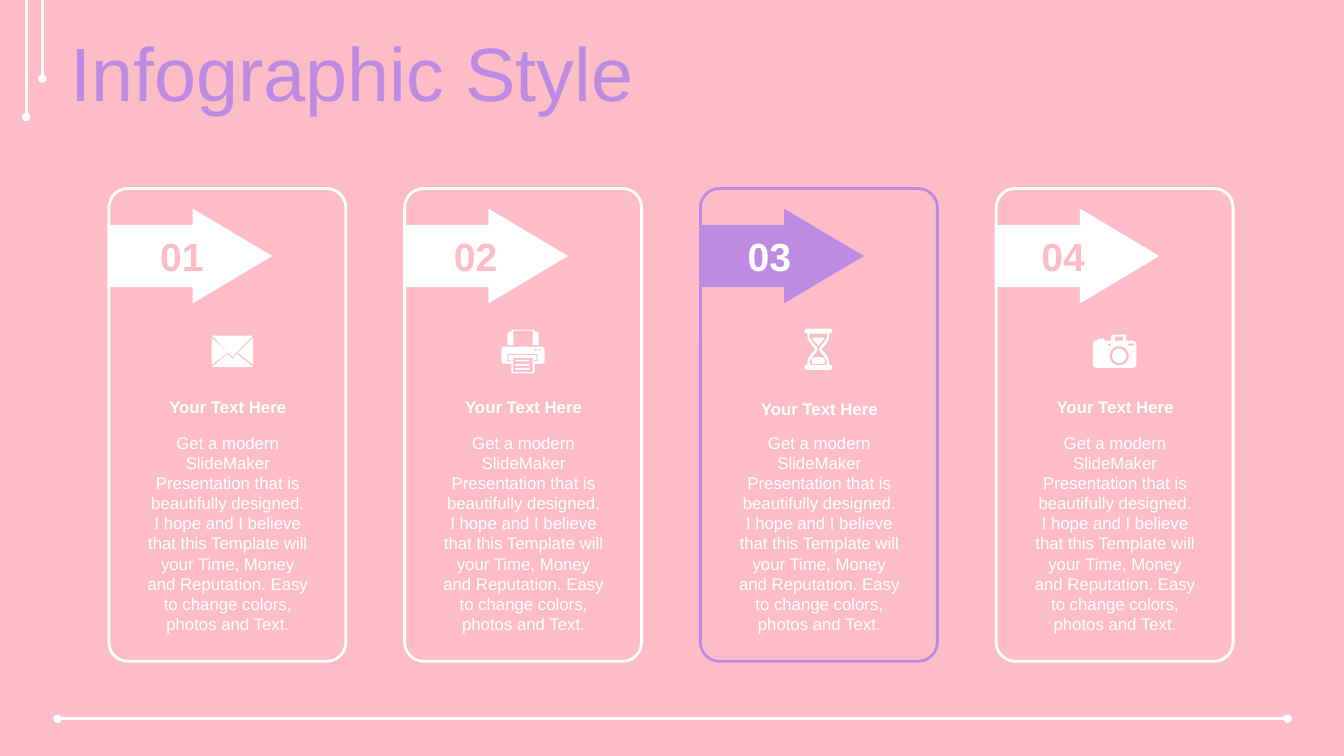
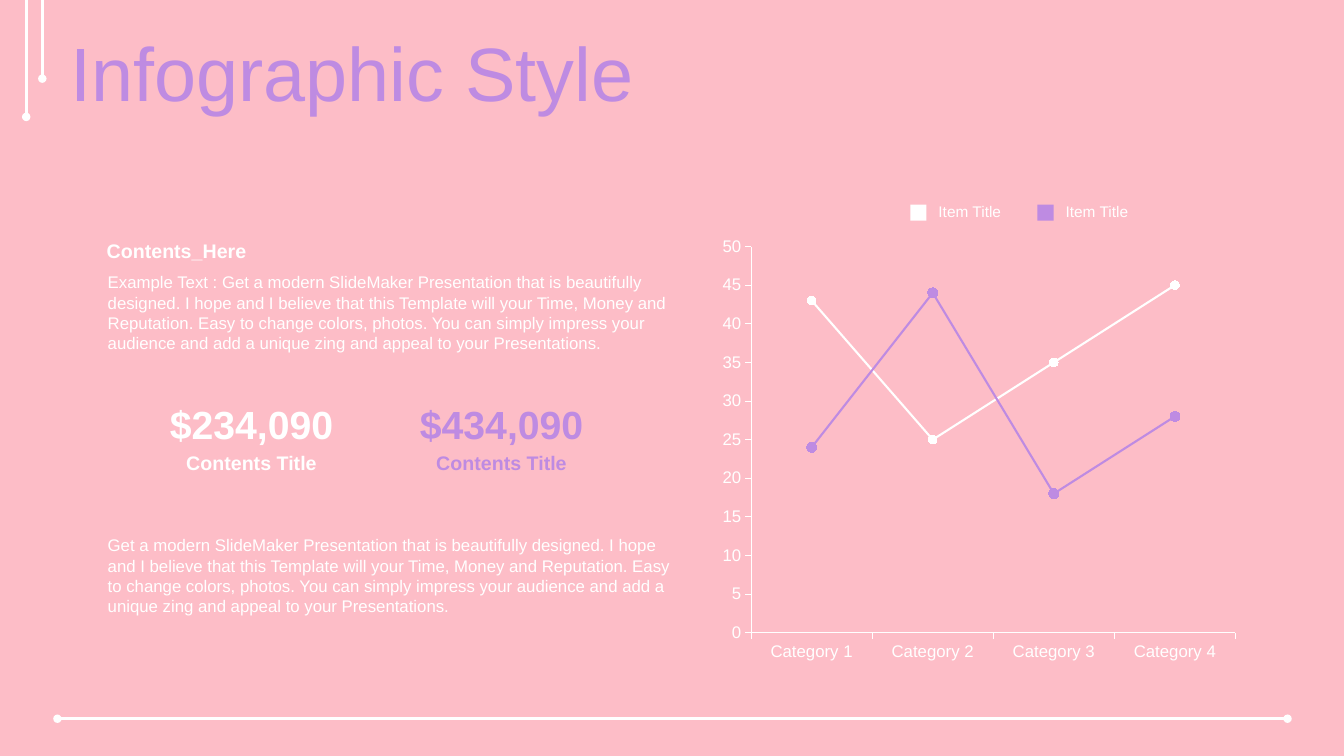
from math import cos, pi, sin
from typing import NamedTuple

from lxml.etree import SubElement as add_node
from pptx import Presentation
from pptx.chart.data import CategoryChartData as ChartData
from pptx.dml.color import RGBColor as Rgb
from pptx.enum.chart import XL_CHART_TYPE as ChartType
from pptx.enum.chart import XL_MARKER_STYLE as Marker
from pptx.enum.chart import XL_TICK_MARK as Tick
from pptx.enum.shapes import MSO_CONNECTOR as Connector
from pptx.enum.shapes import MSO_SHAPE as Shape
from pptx.enum.text import MSO_ANCHOR as Anchor
from pptx.enum.text import MSO_AUTO_SIZE as AutoSize
from pptx.enum.text import PP_ALIGN as Align
from pptx.oxml.ns import qn
from pptx.util import Inches, Pt

COLORS = {"pink": "FDBDC7", "white": "FFFFFF", "purple": "BE8BE2"}
FONT = "Arial"
TITLE = "Infographic Style"
PITCH = "Get a modern SlideMaker Presentation that is beautifully designed. " \
        "I hope and I believe that this Template will your Time, Money and Reputation. "
CARD_TEXT = PITCH + "Easy to change colors, photos and Text."
LONG_TEXT = PITCH + "Easy to change colors, photos. You can simply impress your audience " \
                    "and add a unique zing and appeal to your Presentations."


class Box(NamedTuple):
    left: float
    top: float
    width: float
    height: float

    def inner(self, left, top, width, height):
        return Box(self.left + left, self.top + top, width, height)

    def lengths(self):
        return [Inches(value) for value in self]


def color(name):
    return Rgb.from_string(COLORS[name])


def set_font(font, tint, **values):
    for key, value in {"name": FONT, **values}.items():
        setattr(font, key, value)
    font.color.rgb = color(tint)


def write(page, box, text, tint="white", align=Align.LEFT, size=12, bold=False):
    frame = page.shapes.add_textbox(*box.lengths()).text_frame
    frame.word_wrap = True
    para = frame.paragraphs[0]
    para.alignment = align
    span = para.add_run()
    span.text = text
    set_font(span.font, tint, size=Pt(size), bold=bold)


def paint(shape, fill=None, line=None):
    shape.shadow.inherit = False
    if fill:
        shape.fill.solid()
        shape.fill.fore_color.rgb = color(fill)
    else:
        shape.fill.background()
    if line:
        shape.line.color.rgb = color(line)
        shape.line.width = Pt(2)
    else:
        shape.line.fill.background()
    return shape


def add_block(page, kind, box, fill=None, line=None):
    return paint(page.shapes.add_shape(kind, *box.lengths()), fill, line)


def rect(left, top, right, bottom):
    return [(left, top), (right, top), (right, bottom), (left, bottom)]


def oval(x, y, radius, steps=24):
    angles = [2 * pi * step / steps for step in range(steps)]
    return [(x + radius * cos(angle), y + radius * sin(angle)) for angle in angles]


def mirror(axis, *half):
    return [*half, *((2 * axis - x, y) for x, y in reversed(half))]


ENVELOPE = [
    [(25, 18), (41, 31), (0, 31), (16, 18), (20.5, 23)],
    [(41, 2), (41, 29), (26, 17)],
    [(0, 2), (16, 17), (0, 29)],
    [(0, 0), (41, 0), (20.5, 21)],
]
PRINTER = [
    rect(14, 38, 28, 40), rect(14, 34, 28, 36), rect(14, 30, 28, 31.5),
    rect(12, 28, 31, 42),
    mirror(21, (6, 24), (6, 31), (10, 31), (10, 30), (7, 30), (7, 25)),
    oval(38, 20, 1), oval(34, 20, 1),
    mirror(21.5, (2.5, 17), (0.7, 17.7), (0, 20), (0, 31), (0.7, 33.3), (2.5, 34),
           (10, 34), (10, 43.5)),
    mirror(21.5, (10, 0), (10, 2), (8, 2), (6.6, 2.8), (6, 5), (6, 15.5), (12, 15.5), (12, 1)),
]
HOURGLASS = [
    mirror(14, (14, 28), (8, 29), (7.5, 32), (8, 35)),
    mirror(14, (8, 9), (9, 11), (14, 17)),
    mirror(14, (5, 5), (5.3, 9), (8, 13), (13, 19), (13, 22), (8, 28), (5.8, 32), (6, 36)),
    mirror(14, (3, 0), (0.7, 0.7), (0, 2.5), (0.7, 4.3), (3, 5), (3.5, 10), (6, 15),
           (11, 20.5), (6, 26), (3.5, 31), (3, 36), (0.7, 36.7), (0, 38.5), (0.7, 40.3), (3, 41)),
]
CAMERA = [
    oval(26, 21, 7), oval(26, 21, 9.5),
    rect(15, 9, 18, 11), rect(35, 9, 41, 11), rect(22, 2, 30, 6),
    [(20, 0), (32, 0), (33, 1), (33, 6), (40, 6), (42, 7), (43, 10), (43, 30), (42, 32),
     (40, 33), (3, 33), (1, 32), (0, 30), (0, 10), (1, 7), (3, 6), (4, 6), (5, 4),
     (11, 4), (12, 6), (18, 6), (18, 1)],
]


def add_icon(page, left, top, outlines):
    outlines = [[(x * 10, y * 10) for x, y in outline] for outline in outlines]
    builder = page.shapes.build_freeform(*outlines[0][0], scale=Inches(1) / 1000)
    for index, outline in enumerate(outlines):
        if index:
            builder.move_to(*outline[0])
        builder.add_line_segments(outline[1:], close=True)
    paint(builder.convert_to_shape(Inches(left), Inches(top)), "white")


def add_rule(page, start, end, ends):
    rule = page.shapes.add_connector(
        Connector.STRAIGHT, *[Inches(value) for value in (*start, *end)])
    rule.line.color.rgb = color("white")
    rule.line.width = Pt(2)
    for name in ends:
        add_node(rule.line._get_or_add_ln(), qn(f"a:{name}"), type="oval")
    add_node(rule.element.spPr, qn("a:effectLst"))
    return rule


def style_layout(deck, layout, page):
    fill = deck.slide_master.background.fill
    fill.solid()
    fill.fore_color.rgb = color("pink")
    rules = [
        ((0.57, 7.13), (12.77, 7.13), ("headEnd", "tailEnd")),
        ((0.26, 0), (0.26, 1.16), ("tailEnd",)),
        ((0.42, 0), (0.42, 0.78), ("tailEnd",)),
    ]
    for number, (start, end, ends) in enumerate(rules, 101):
        rule = add_rule(page, start, end, ends).element
        rule.xpath("./p:nvCxnSpPr/p:cNvPr")[0].set("id", str(number))
        layout.shapes.element.append(rule)


def add_title(page, box):
    title = page.shapes.title
    for key, value in zip(("left", "top", "width", "height"), box.lengths()):
        setattr(title, key, value)
    frame = title.text_frame
    frame.text = TITLE
    for key, value in {"auto_size": AutoSize.NONE, "word_wrap": True,
                       "vertical_anchor": Anchor.MIDDLE}.items():
        setattr(frame, key, value)
    para = frame.paragraphs[0]
    para.alignment = Align.LEFT
    para.line_spacing = 0.9
    set_font(para.runs[0].font, "purple", size=Pt(54), bold=False)


def add_page(deck, layout):
    page = deck.slides.add_slide(layout)
    add_title(page, Box(0.6, 0.37, 12.73, 0.79))
    return page


def add_card(page, box, number, accent, number_tint, number_left, heading_top, icon):
    outlines, icon_left, icon_top = icon
    frame = add_block(page, Shape.ROUNDED_RECTANGLE, box, line=accent)
    frame.adjustments[0] = 0.08
    write(page, box.inner(0.28, heading_top, 1.8, 0.3), "Your Text Here",
          align=Align.CENTER, bold=True)
    write(page, box.inner(0.28, 2.37, 1.8, 2.12), CARD_TEXT, align=Align.CENTER)
    arrow = add_block(page, Shape.RIGHT_ARROW, box.inner(0, 0.2, 1.62, 0.94), accent)
    arrow.adjustments[0], arrow.adjustments[1] = 0.65, 0.84
    write(page, box.inner(number_left, 0.39, 0.71, 0.57), f"{number:02d}", number_tint,
          Align.CENTER, 28, True)
    add_icon(page, box.left + icon_left, box.top + icon_top, outlines)


def fill_cards(page, box):
    cards = [
        ("white", "pink", 2.02, (ENVELOPE, 1.02, 1.46)),
        ("white", "pink", 2.02, (PRINTER, 0.96, 1.4)),
        ("purple", "white", 2.04, (HOURGLASS, 1.03, 1.39)),
        ("white", "pink", 2.02, (CAMERA, 0.96, 1.45)),
    ]
    width = 2.35
    step = (box.width - width) / (len(cards) - 1)
    for index, (accent, number_tint, heading_top, icon) in enumerate(cards):
        add_card(page, box.inner(index * step, 0, width, box.height), index + 1, accent,
                 number_tint, 0.37 - 0.02 * index, heading_top, icon)


def fill_story(page, box):
    write(page, box.inner(0, 0, box.width, 0.34), "Contents_Here", size=14, bold=True)
    write(page, box.inner(0.01, 0.33, box.width, 0.91), "Example Text : " + LONG_TEXT)
    for left, amount, tint in ((0.57, "$234,090", "white"), (3.05, "$434,090", "purple")):
        write(page, box.inner(left, 1.6, 1.93, 0.57), amount, tint, Align.CENTER, 28, True)
        write(page, box.inner(left, 2.1, 1.93, 0.34), "Contents Title", tint,
              Align.CENTER, 14, True)
    write(page, box.inner(0.01, 2.94, box.width, 0.91), LONG_TEXT)


def add_legend(page, box):
    for index, tint in enumerate(("white", "purple")):
        item = box.inner(index * 1.26, 0, 1.02, box.height)
        add_block(page, Shape.RECTANGLE, item.inner(0, 0.07, 0.16, 0.16), tint)
        write(page, item.inner(0.18, 0, 0.84, 0.29), "Item Title", size=11)


def add_line_chart(page, box):
    data = ChartData()
    data.categories = [f"Category {number}" for number in range(1, 5)]
    data.add_series("Series 1", (43, 25, 35, 45))
    data.add_series("Series 2", (24, 44, 18, 28))
    chart = page.shapes.add_chart(ChartType.LINE_MARKERS, *box.lengths(), data).chart
    chart.has_legend = False
    chart.has_title = False
    set_font(chart.font, "white", size=Pt(12))
    for axis in (chart.category_axis, chart.value_axis):
        for key, value in {"has_major_gridlines": False, "major_tick_mark": Tick.OUTSIDE,
                           "minor_tick_mark": Tick.NONE}.items():
            setattr(axis, key, value)
        set_font(axis.tick_labels.font, "white", size=Pt(12))
        axis.format.line.color.rgb = color("white")
        axis.format.line.width = Pt(0.75)
    for key, value in {"minimum_scale": 0, "maximum_scale": 50, "major_unit": 5}.items():
        setattr(chart.value_axis, key, value)
    plot = chart.plots[0]
    plot.vary_by_categories = False
    for series, tint, size in zip(plot.series, ("white", "purple"), (6, 7)):
        series.smooth = False
        series.format.line.color.rgb = color(tint)
        series.format.line.width = Pt(1.5)
        series.marker.style = Marker.CIRCLE
        series.marker.size = size
        look = series.marker.format
        look.fill.solid()
        look.fill.fore_color.rgb = color(tint)
        look.line.color.rgb = color(tint)


def main():
    deck = Presentation()
    deck.slide_width, deck.slide_height = Inches(13.33), Inches(7.5)
    layout = deck.slide_layouts.get_by_name("Title Only")

    cards_page = add_page(deck, layout)
    style_layout(deck, layout, cards_page)
    fill_cards(cards_page, Box(1.08, 1.87, 11.15, 4.69))

    chart_page = add_page(deck, layout)
    add_line_chart(chart_page, Box(7.06, 2.27, 5.3, 4.37))
    fill_story(chart_page, Box(0.96, 2.32, 5.87, 3.85))
    add_legend(chart_page, Box(9.03, 1.96, 2.28, 0.29))

    deck.save("out.pptx")


if __name__ == "__main__":
    main()
